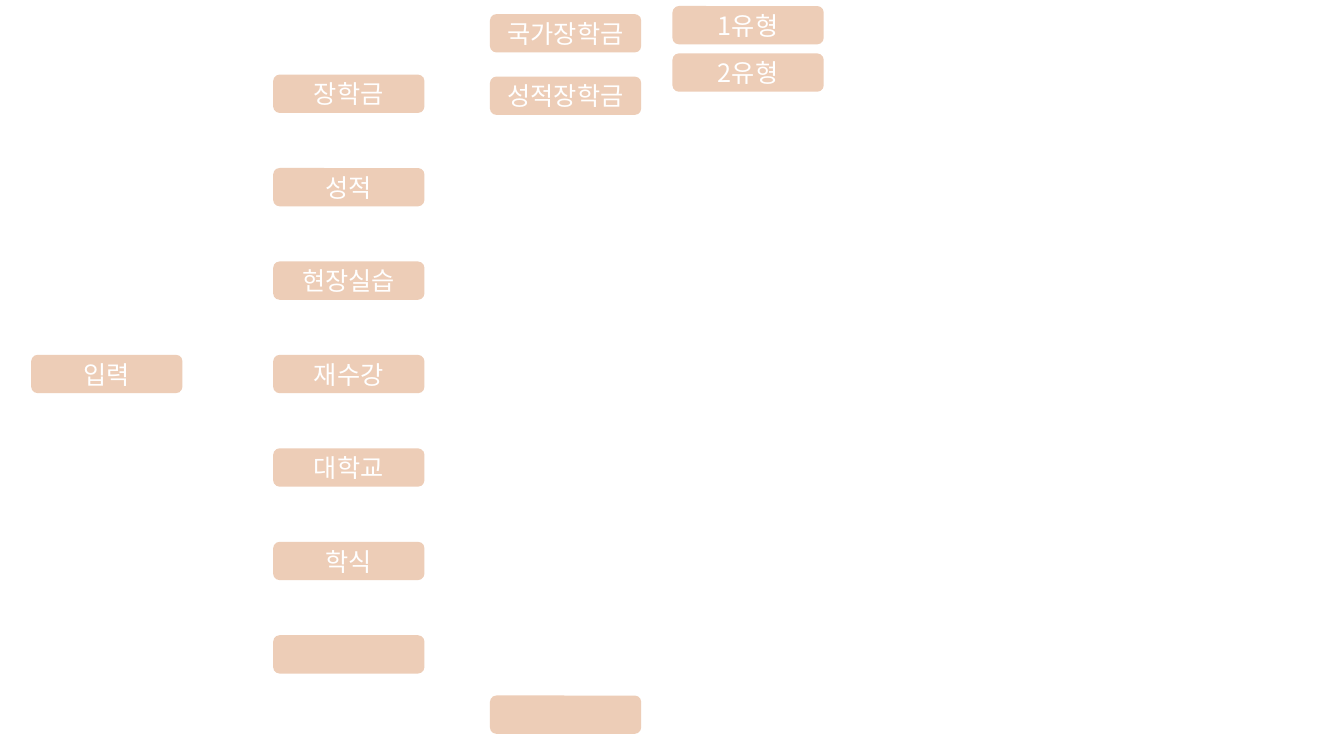
from lxml.etree import SubElement
from pptx import Presentation
from pptx.dml.color import RGBColor
from pptx.enum.shapes import MSO_SHAPE
from pptx.enum.text import MSO_ANCHOR, PP_ALIGN
from pptx.oxml.ns import qn
from pptx.util import Inches, Pt

ORANGE = RGBColor(0xC5, 0x5A, 0x11)
WHITE = RGBColor(0xFF, 0xFF, 0xFF)
FONT = "Noto Sans CJK KR"
NODE_WIDTH, NODE_HEIGHT = 1.5, 0.38
OPACITY_PERCENT = 30

INPUT_LEFT, INPUT_TOP = 0.31, 3.52
CATEGORY_LEFT, CATEGORY_TOP, CATEGORY_STEP = 2.71, 0.74, 0.927
CATEGORIES = ["장학금", "성적", "현장실습", "재수강", "대학교", "학식", ""]
SCHOLARSHIP_LEFT = 4.86
SCHOLARSHIPS = [("국가장학금", 0.14), ("성적장학금", 0.76), ("", 6.9)]
TYPE_LEFT, TYPE_TOP, TYPE_STEP = 6.67, 0.06, 0.47
TYPES = ["1유형", "2유형"]


def set_opacity(fill, percent):
    color = fill._xPr.find(qn("a:solidFill"))[0]
    SubElement(color, qn("a:alpha")).set("val", str(percent * 1000))


def write_label(node, label):
    node.text_frame.vertical_anchor = MSO_ANCHOR.MIDDLE
    paragraph = node.text_frame.paragraphs[0]
    paragraph.text = label
    paragraph.alignment = PP_ALIGN.CENTER
    font = paragraph.font
    font.size = Pt(18)
    font.color.rgb = WHITE
    font.name = FONT
    SubElement(font._element, qn("a:ea")).set("typeface", FONT)


def add_node(slide, label, left, top):
    node = slide.shapes.add_shape(
        MSO_SHAPE.ROUNDED_RECTANGLE,
        Inches(left), Inches(top), Inches(NODE_WIDTH), Inches(NODE_HEIGHT))
    node.shadow.inherit = False
    node.fill.solid()
    node.fill.fore_color.rgb = ORANGE
    set_opacity(node.fill, OPACITY_PERCENT)
    node.line.fill.background()
    if label:
        write_label(node, label)


def add_column(slide, labels, left, top, step):
    for row, label in enumerate(labels):
        add_node(slide, label, left, top + row * step)


def main():
    presentation = Presentation()
    presentation.slide_width = Inches(13.33)
    presentation.slide_height = Inches(7.5)
    slide = presentation.slides.add_slide(presentation.slide_layouts[6])

    add_node(slide, "입력", INPUT_LEFT, INPUT_TOP)
    add_column(slide, CATEGORIES, CATEGORY_LEFT, CATEGORY_TOP, CATEGORY_STEP)
    for label, top in SCHOLARSHIPS:
        add_node(slide, label, SCHOLARSHIP_LEFT, top)
    add_column(slide, TYPES, TYPE_LEFT, TYPE_TOP, TYPE_STEP)

    presentation.save("out.pptx")


main()
